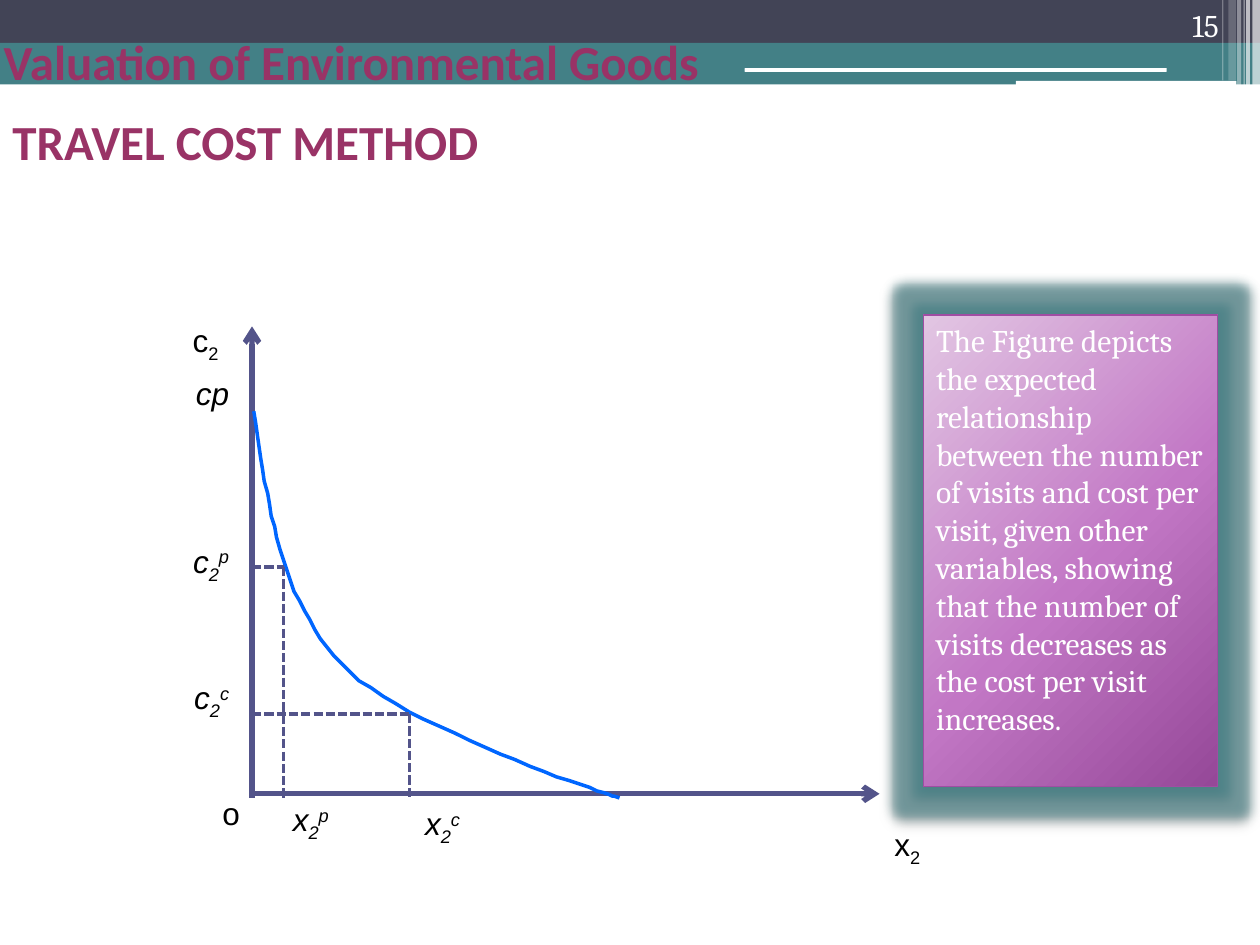
from lxml import etree
from pptx import Presentation
from pptx.dml.color import RGBColor
from pptx.enum import dml, shapes, text
from pptx.oxml import parse_xml
from pptx.oxml.ns import nsdecls, qn
from pptx.util import Pt

HUE = {"teal": "438086", "slate": "424456", "white": "FFFFFF", "plum": "993366",
       "axis": "53548A", "curve": "0066FF", "ink": "000000", "edge": "A04DA3"}
RECT, ROUND = shapes.MSO_SHAPE.RECTANGLE, shapes.MSO_SHAPE.ROUNDED_RECTANGLE
LEFT, RIGHT = text.PP_ALIGN.LEFT, text.PP_ALIGN.RIGHT
TOP, MID, LOW = text.MSO_ANCHOR.TOP, text.MSO_ANCHOR.MIDDLE, text.MSO_ANCHOR.BOTTOM

BANDS = [
    (RECT, 0, 28.8, 720, 6.5, "teal", 50),
    (RECT, 0, 0, 720, 24.5, "slate", 100),
    (RECT, 0, 24.5, 720, 23.75, "teal", 100),
    (RECT, 426, 28, 294, 7.2, "teal", 100),
    (ROUND, 425.5, 38.9, 241.2, 2.2, "white", 100),
    (ROUND, 580.5, 46.2, 126, 2.6, "white", 100),
]
STRIPES = [(715.7, 4.3, 49, 65), (712.1, 2.2, 49, 65), (710.6, 0.7, 49, 60),
           (707, 2.2, 49, 40), (702, 4.3, 46, 20), (698.4, 0.7, 46, 30)]
HEADS = [
    ("Valuation of Environmental Goods", -5, 13.7, 510, 41.8, 28, "Calibri", "plum", True, LEFT, MID),
    ("15", 643.7, 0, 59.8, 28.8, 18, "Cambria", "white", False, RIGHT, LOW),
    ("TRAVEL COST METHOD", 0, 59.8, 684, 41.8, 28, "Calibri", "plum", True, LEFT, MID),
]
AXES = [(144, 456, 144, 186.5), (142.6, 453.6, 502.6, 453.6)]
VISITS = [(162, 324), (234, 408)]
BEND = [((145.4, 234.7), (152.6, 288.7), (160.6, 342.7), (195.1, 379.4)),
        ((195.1, 379.4), (229.7, 416.2), (350.6, 455), (350.6, 455))]
TIP = (354.2, 455.8)
LABELS = [
    ("x", "2", "", 504, 468, False, LEFT),
    ("c", "2", "", 90, 180, False, RIGHT),
    ("cp", "", "", 96, 210, True, RIGHT),
    ("c", "2", "p", 96, 306, True, RIGHT),
    ("c", "2", "c", 96, 384, True, RIGHT),
    ("x", "2", "c", 228, 456, True, RIGHT),
    ("x", "2", "p", 153, 453.6, True, RIGHT),
    ("o", "", "", 120, 450, False, LEFT),
]
NOTE = ("The Figure depicts the expected relationship between the number of visits "
        "and cost per visit, given other variables, showing that the number of visits "
        "decreases as the cost per visit increases.")
BLEND = [(0, "E2C6E3"), (55, "C277C5"), (100, "954898")]

deck = Presentation()
deck.slide_width, deck.slide_height = Pt(720), Pt(540)
slide = deck.slides.add_slide(deck.slide_layouts[6])
parts = slide.shapes


def tint(name):
    return RGBColor.from_string(HUE[name])


def block(kind, x, y, w, h, hue, solid=100):
    box = parts.add_shape(kind, Pt(x), Pt(y), Pt(w), Pt(h))
    box.shadow.inherit = False
    box.fill.solid()
    box.fill.fore_color.rgb = tint(hue)
    box.line.fill.background()
    if solid < 100:
        clr = box.fill._xPr.find(".//" + qn("a:srgbClr"))
        etree.SubElement(clr, qn("a:alpha"), val=str(solid * 1000))
    return box


def style(run, size, face, hue, bold=False, slant=False, base=0):
    font = run.font
    font.size, font.name, font.bold, font.italic = Pt(size), face, bold, slant
    font.color.rgb = tint(hue)
    if base:
        run._r.get_or_add_rPr().set("baseline", str(base * 1000))


def frame(x, y, w, h, align, anchor=TOP):
    body = parts.add_textbox(Pt(x), Pt(y), Pt(w), Pt(h)).text_frame
    body.word_wrap, body.vertical_anchor = True, anchor
    para = body.paragraphs[0]
    para.alignment = align
    return para


def rule(x, y, x2, y2, width, dash=False, arrow=False):
    line = parts.add_connector(shapes.MSO_CONNECTOR.STRAIGHT, Pt(x), Pt(y), Pt(x2), Pt(y2))
    line.line.color.rgb, line.line.width = tint("axis"), Pt(width)
    etree.SubElement(line._element.spPr, qn("a:effectLst"))
    if dash:
        line.line.dash_style = dml.MSO_LINE.SQUARE_DOT
    if arrow:
        etree.SubElement(line.line._get_or_add_ln(), qn("a:tailEnd"), type="arrow")


def bezier(a, b, c, d, steps=24):
    for i in range(1, steps + 1):
        t = i / steps
        s = 1 - t
        yield tuple(s**3 * p + 3 * s * s * t * q + 3 * s * t * t * r + t**3 * v
                    for p, q, r, v in zip(a, b, c, d))


def draw_curve():
    pts = [p for seg in BEND for p in bezier(*seg)] + [TIP]
    pen = parts.build_freeform(*BEND[0][0], scale=float(Pt(1)))
    pen.add_line_segments(pts, close=False)
    curve = pen.convert_to_shape()
    curve.shadow.inherit = False
    curve.fill.background()
    curve.line.color.rgb, curve.line.width = tint("curve"), Pt(2)


def draw_note():
    box = block(RECT, 527.8, 180, 168, 269.3, "edge")
    box.line.color.rgb, box.line.width = tint("edge"), Pt(0.75)
    body = box.text_frame
    body.text, body.word_wrap, body.vertical_anchor = NOTE, True, TOP
    body.paragraphs[0].alignment = LEFT
    style(body.paragraphs[0].runs[0], 18, "Cambria", "white")
    props = box._element.spPr
    stops = "".join(f'<a:gs pos="{p * 1000}"><a:srgbClr val="{c}"/></a:gs>' for p, c in BLEND)
    props.replace(props.find(qn("a:solidFill")), parse_xml(
        f'<a:gradFill {nsdecls("a")} rotWithShape="1"><a:gsLst>{stops}</a:gsLst>'
        '<a:path path="circle"><a:fillToRect l="-40000" t="-90000" r="140000" b="190000"/>'
        '</a:path></a:gradFill>'))
    props.replace(props.find(qn("a:effectLst")), parse_xml(
        f'<a:effectLst {nsdecls("a")}><a:glow rad="{Pt(12)}"><a:srgbClr val="{HUE["teal"]}">'
        f'<a:alpha val="60000"/></a:srgbClr></a:glow><a:outerShdw blurRad="{Pt(4)}" '
        f'dist="{Pt(2)}" dir="5400000" rotWithShape="0"><a:srgbClr val="{HUE["ink"]}">'
        '<a:alpha val="45000"/></a:srgbClr></a:outerShdw></a:effectLst>'))


for band in BANDS:
    block(*band)
for x, w, h, solid in STRIPES:
    block(RECT, x, 0, w, h, "white", solid)
for words, x, y, w, h, size, face, hue, bold, align, anchor in HEADS:
    para = frame(x, y, w, h, align, anchor)
    para.text = words
    style(para.runs[0], size, face, hue, bold)

for axis in AXES:
    rule(*axis, 3, arrow=True)
draw_curve()
for x, y in VISITS:
    rule(144, y, x, y, 1.75, dash=True)
    rule(x, y, x, 456, 1.75, dash=True)

for main, sub, sup, x, y, slant, align in LABELS:
    para = frame(x, y, 24 if main == "o" else 42, 29, align)
    for part, base in ((main, 0), (sub, -25), (sup, 30)):
        if part:
            run = para.add_run()
            run.text = part
            style(run, 18, "Arial", "ink", slant=slant, base=base)
draw_note()
deck.save("out.pptx")
